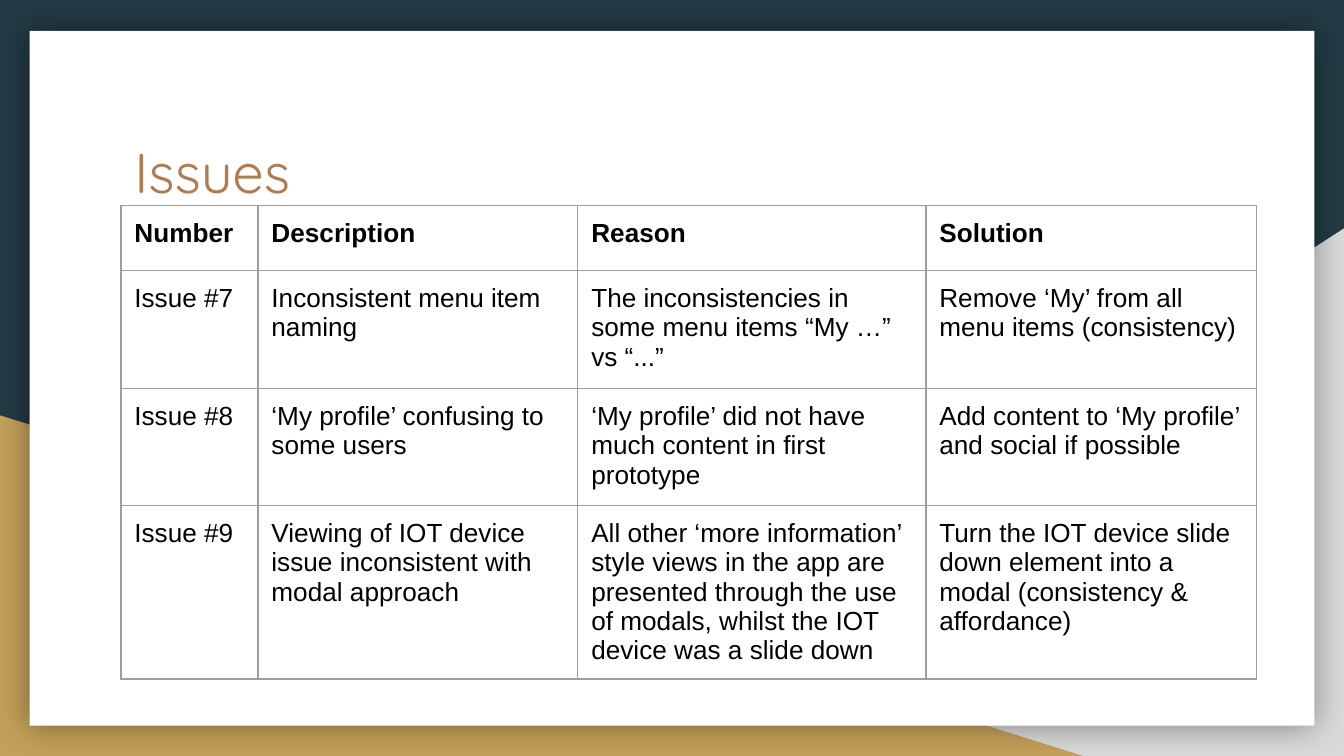
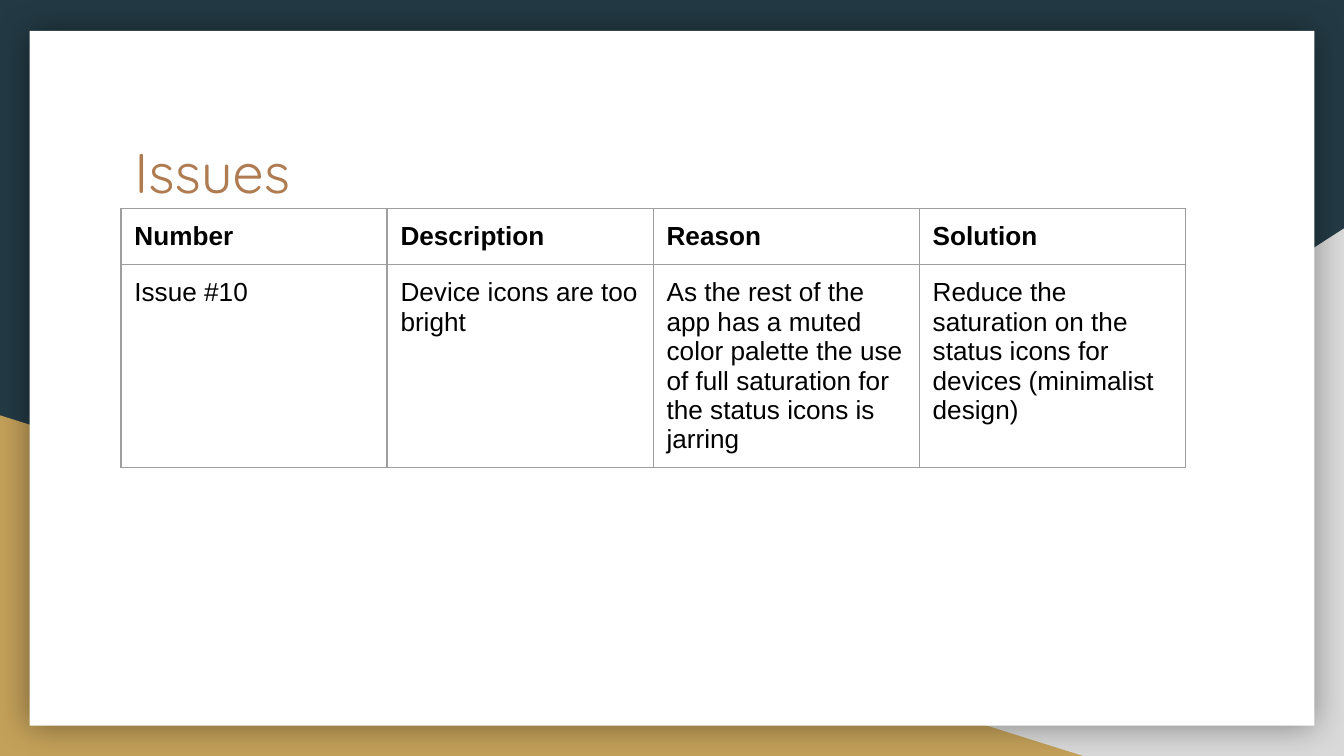
import pptx
import pptx.util
import pptx.dml.color
import pptx.enum.shapes
import pptx.enum.text
import pptx.oxml
import pptx.oxml.ns

Inches = pptx.util.Inches
Pt = pptx.util.Pt
Kind = pptx.enum.shapes.MSO_SHAPE
Anchor = pptx.enum.text.MSO_ANCHOR
Align = pptx.enum.text.PP_ALIGN

INK = {
    "back": "233A44",
    "gray": "D9D9D9",
    "gold": "C4A15A",
    "card": "FFFFFF",
    "title": "AF7B51",
    "text": "000000",
    "line": "9E9E9E",
}
FONT = {
    "title": {"name": "Quicksand", "size": Pt(30), "bold": False},
    "text": {"name": "Arial", "size": Pt(14), "bold": False},
}
PAD = {"margin_" + side: Inches(0.1) for side in ("left", "top", "right", "bottom")}
FRAME = {**PAD, "word_wrap": True, "vertical_anchor": Anchor.TOP}
CELL = {**PAD, "vertical_anchor": Anchor.TOP}

WIDE = 10
HIGH = WIDE * 9 / 16
TITLE = (0.9, 0.92, 8.21, 1.04)
HEAD = ["Number", "Description", "Reason", "Solution"]

PAGES = [
    {
        "spot": (0.9, 1.53),
        "cols": [1.02, 2.38, 2.59, 2.46],
        "rows": [0.48, 0.88, 0.87, 1.28],
        "data": [
            ["Issue #7", "Inconsistent menu item naming",
             "The inconsistencies in some menu items “My …” vs “...”",
             "Remove ‘My’ from all menu items (consistency)"],
            ["Issue #8", "‘My profile’ confusing to some users",
             "‘My profile’ did not have much content in first prototype",
             "Add content to ‘My profile’ and social if possible"],
            ["Issue #9", "Viewing of IOT device issue inconsistent with modal approach",
             "All other ‘more information’ style views in the app are presented "
             "through the use of modals, whilst the IOT device was a slide down",
             "Turn the IOT device slide down element into a modal "
             "(consistency & affordance)"],
        ],
    },
    {
        "spot": (0.9, 1.55),
        "cols": [1.98] * 4,
        "rows": [0.42] * 2,
        "data": [
            ["Issue #10", "Device icons are too bright",
             "As the rest of the app has a muted color palette the use of full "
             "saturation for the status icons is jarring",
             "Reduce the saturation on the status icons for devices "
             "(minimalist design)"],
        ],
    },
]


def color(name):
    return pptx.dml.color.RGBColor.from_string(INK[name])


def apply(item, form):
    for key, value in form.items():
        setattr(item, key, value)


def style(para, name, **more):
    para.alignment = Align.LEFT
    for run in para.runs:
        apply(run.font, {**FONT[name], **more})
        run.font.color.rgb = color(name)


def place(item, box):
    names = ("left", "top", "width", "height")
    apply(item, dict(zip(names, map(Inches, box))))


def shade(shape):
    """Give a shape a soft, even shadow."""
    props = shape._element.spPr
    for old in props.findall(pptx.oxml.ns.qn("a:effectLst")):
        props.remove(old)
    props.append(pptx.oxml.parse_xml(
        f'<a:effectLst {pptx.oxml.ns.nsdecls("a")}>'
        f'<a:outerShdw blurRad="{Pt(18)}" dist="0" dir="0" algn="ctr" rotWithShape="0">'
        f'<a:srgbClr val="{INK["text"]}"><a:alpha val="40000"/></a:srgbClr>'
        '</a:outerShdw></a:effectLst>'))


def block(slide, kind, box, fill):
    shape = slide.shapes.add_shape(kind, *map(Inches, box))
    shape.shadow.inherit = False
    shape.fill.solid()
    shape.fill.fore_color.rgb = color(fill)
    shape.line.fill.background()
    return shape


def backdrop(slide):
    """Draw the shared backdrop and hand it to the slide's layout."""
    layout = slide.slide_layout
    layout.background.fill.solid()
    layout.background.fill.fore_color.rgb = color("back")

    # Corner triangles end at the slide's foot, with the card above them
    gray = block(slide, Kind.RIGHT_TRIANGLE, (3.92, 1.7, WIDE - 3.92, HIGH - 1.7), "gray")
    gray._element.spPr.xfrm.set("flipH", "1")
    gold = block(slide, Kind.RIGHT_TRIANGLE, (0, 3.09, 8.06, HIGH - 3.09), "gold")
    card = block(slide, Kind.RECTANGLE, (0.22, 0.23, 9.56, 5.17), "card")
    shade(card)

    for spot, shape in enumerate((gray, gold, card), 2):
        layout.shapes._spTree.insert(spot, shape._element)


def heading(slide, box):
    title = slide.shapes.title
    place(title, box)
    title.text_frame.text = "Issues"
    apply(title.text_frame, FRAME)
    style(title.text_frame.paragraphs[0], "title")


def border(cell):
    props = cell._tc.get_or_add_tcPr()
    for side in "LRTB":
        props.append(pptx.oxml.parse_xml(
            f'<a:ln{side} {pptx.oxml.ns.nsdecls("a")} w="{Pt(0.75)}">'
            f'<a:solidFill><a:srgbClr val="{INK["line"]}"/></a:solidFill>'
            f'</a:ln{side}>'))


def grid(slide, spot, cols, rows, data):
    box = (*spot, sum(cols), sum(rows))
    table = slide.shapes.add_table(len(rows), len(cols), *map(Inches, box)).table
    apply(table, {"first_row": False, "horz_banding": False})
    for col, width in zip(table.columns, cols):
        col.width = Inches(width)
    for row, height in zip(table.rows, rows):
        row.height = Inches(height)

    # Bold header, then the issues
    for r, line in enumerate([HEAD, *data]):
        for c, text in enumerate(line):
            cell = table.cell(r, c)
            cell.text = text
            apply(cell, CELL)
            style(cell.text_frame.paragraphs[0], "text", bold=r == 0)
            border(cell)
            cell.fill.background()


def main():
    deck = pptx.Presentation()
    apply(deck, {"slide_width": Inches(WIDE), "slide_height": Inches(HIGH)})
    layout = deck.slide_layouts[5]

    # Keep only the title in the layout
    for holder in list(layout.placeholders):
        if holder.placeholder_format.idx:
            holder._element.getparent().remove(holder._element)
        else:
            place(holder, TITLE)

    for page in PAGES:
        slide = deck.slides.add_slide(layout)
        if page is PAGES[0]:
            backdrop(slide)
        heading(slide, TITLE)
        grid(slide, **page)
    deck.save("out.pptx")


if __name__ == "__main__":
    main()
